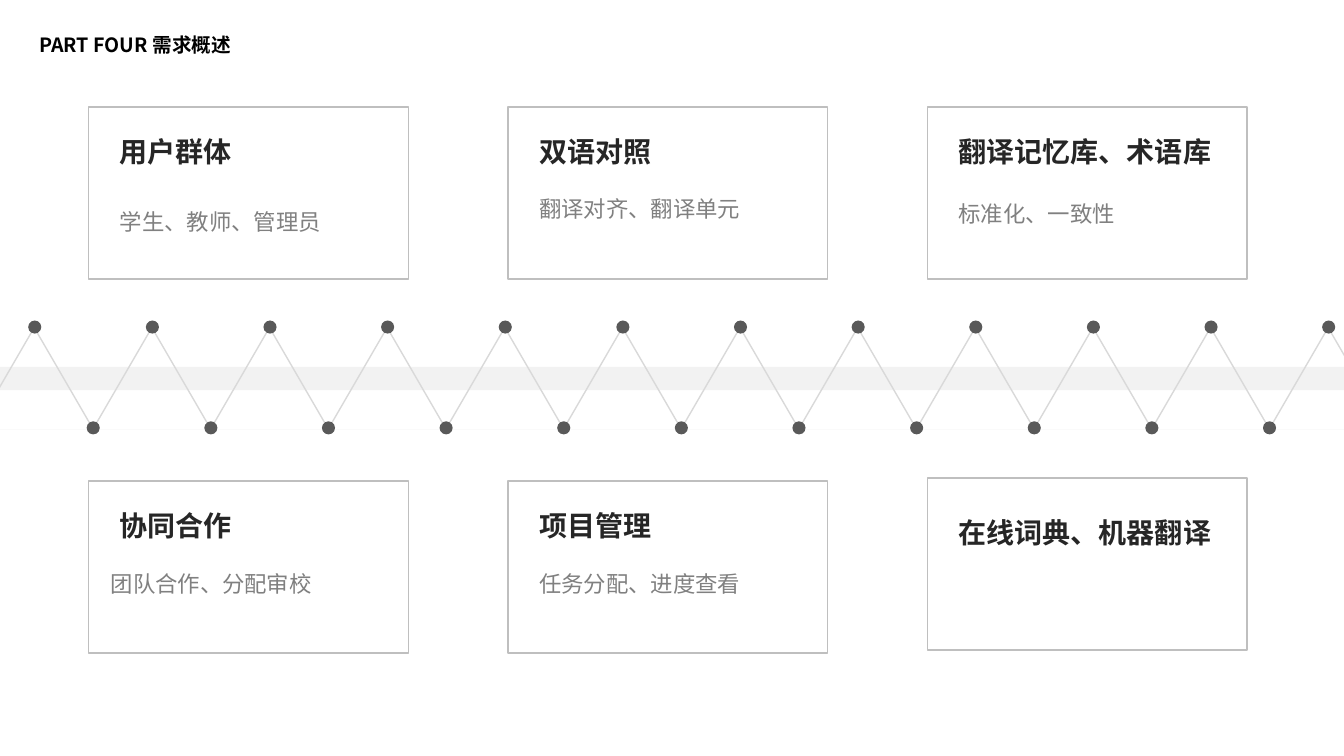
from lxml import etree
from pptx import Presentation
from pptx import util as u
from pptx.dml.color import RGBColor
from pptx.enum import shapes, text
from pptx.oxml.ns import qn

CJK = "Noto Sans CJK SC"
KIND = shapes.MSO_SHAPE
STEP = 7 / 6
TITLE = {"size": u.Pt(14), "bold": True, "name": CJK}
HEADING = {"size": u.Pt(20), "bold": True, "name": "Karla"}
DETAIL = {"size": u.Pt(16), "bold": False, "name": CJK}

# left, top, heading, detail, detail offset (x, y) from the card corner
CARDS = [
    (0.88, 1.06, "用户群体", "学生、教师、管理员", (0.21, 0.88)),
    (5.04, 1.06, "双语对照", "翻译对齐、翻译单元", (0.21, 0.75)),
    (9.2, 1.06, "翻译记忆库、术语库", "标准化、一致性", (0.21, 0.8)),
    (0.88, 4.77, "协同合作", "团队合作、分配审校", (0.12, 0.76)),
    (5.04, 4.77, "项目管理", "任务分配、进度查看", (0.21, 0.76)),
    (9.2, 4.74, "在线词典、机器翻译", None, None),
]


def color(value):
    return RGBColor.from_string(value)


def inches(*lengths):
    return [u.Inches(length) for length in lengths]


def add_shape(parent, kind, place, fill=None, line=None):
    shape = parent.shapes.add_shape(kind, *inches(*place))
    shape.shadow.inherit = False
    if fill:
        shape.fill.solid()
        shape.fill.fore_color.rgb = color(fill)
    else:
        shape.fill.background()
    if line:
        shape.line.color.rgb = color(line)
        shape.line.width = u.Pt(1)
    else:
        shape.line.fill.background()


def add_text(parent, place, words, style, ink, spacing=1.0, wrap=True):
    box = parent.shapes.add_textbox(*inches(*place))
    frame = box.text_frame
    frame.word_wrap = wrap
    frame.auto_size = text.MSO_AUTO_SIZE.SHAPE_TO_FIT_TEXT
    para = frame.paragraphs[0]
    para.line_spacing = spacing
    span = para.add_run()
    span.text = words
    for key, value in style.items():
        setattr(span.font, key, value)
    span.font.color.rgb = color(ink)
    east_asian = etree.SubElement(span.font._element, qn("a:ea"))
    east_asian.set("typeface", CJK)
    return frame


def add_title(page):
    frame = add_text(page, (0.29, 0.24, 3.61, 0.43), "PART FOUR 需求概述",
                     TITLE, "000000", 0.9)
    frame.auto_size = text.MSO_AUTO_SIZE.NONE
    frame.vertical_anchor = text.MSO_ANCHOR.MIDDLE


def add_zigzag(page):
    """Triangles with their bases hidden by a white line, dots on the corners."""
    group = page.shapes.add_group_shape()
    add_shape(group, KIND.RECTANGLE, (0, 3.64, 13.33, 0.23), fill="F2F2F2")
    for index in range(12):
        add_shape(group, KIND.ISOSCELES_TRIANGLE,
                  (-0.24 + index * STEP, 3.25, 1.16, 1), line="D9D9D9")
    cover = group.shapes.add_connector(shapes.MSO_CONNECTOR.STRAIGHT,
                                       *inches(-0.23, 4.24, 13.74, 4.24))
    cover.line.color.rgb = color("FFFFFF")
    cover.line.width = u.Pt(3)
    etree.SubElement(cover._element.spPr, qn("a:effectLst"))
    for left, top, count in ((0.28, 3.18, 12), (0.86, 4.18, 11)):
        for index in range(count):
            add_shape(group, KIND.OVAL, (left + index * STEP, top, 0.13, 0.13),
                      fill="595959")


def add_card(page, left, top, heading, detail, offset):
    group = page.shapes.add_group_shape()
    add_shape(group, KIND.RECTANGLE, (left, top, 3.17, 1.71), line="BFBFBF")
    width = 1.32 if len(heading) == 4 else 2.73
    height, spacing = (0.44, 1.0) if detail else (0.5, 1.3)
    add_text(group, (left + 0.21, top + 0.225, width, height), heading,
             HEADING, "262626", spacing, wrap=False)
    if detail:
        add_text(group, (left + offset[0], top + offset[1], 2.92, 0.42),
                 detail, DETAIL, "808080", 1.3)


def main():
    deck = Presentation()
    deck.slide_width, deck.slide_height = inches(13.33, 7.5)
    page = deck.slides.add_slide(deck.slide_layouts[6])
    add_title(page)
    add_zigzag(page)
    for card in CARDS:
        add_card(page, *card)
    deck.save("out.pptx")


if __name__ == "__main__":
    main()
